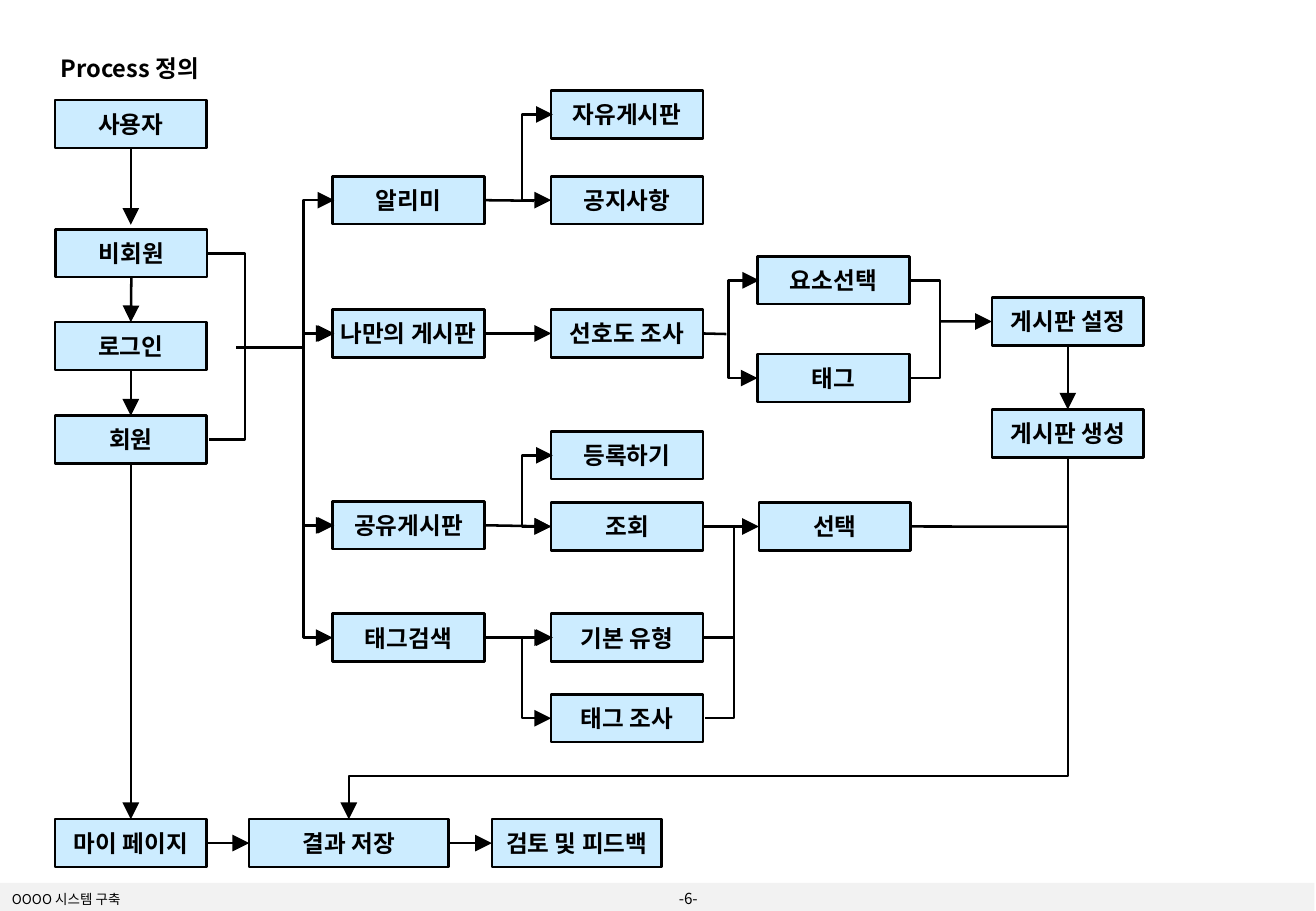
"""Build the process definition flow chart slide."""
from dataclasses import dataclass

from lxml import etree
from pptx import Presentation
from pptx.dml.color import RGBColor
from pptx.enum.shapes import MSO_CONNECTOR, MSO_SHAPE
from pptx.enum.text import MSO_ANCHOR, PP_ALIGN
from pptx.oxml.ns import qn
from pptx.shapes.autoshape import Shape
from pptx.shapes.connector import Connector
from pptx.slide import Slide
from pptx.util import Pt

STRAIGHT = MSO_CONNECTOR.STRAIGHT
ELBOW = MSO_CONNECTOR.ELBOW
RECTANGLE = MSO_SHAPE.RECTANGLE
MIDDLE = MSO_ANCHOR.MIDDLE
TOP_ANCHOR = MSO_ANCHOR.TOP
LEFT = PP_ALIGN.LEFT
CENTER = PP_ALIGN.CENTER

FONT = "Noto Sans CJK KR"
BLACK = RGBColor(0x00, 0x00, 0x00)
PALE_BLUE = RGBColor(0xCC, 0xEC, 0xFF)
PALE_GREY = RGBColor(0xF2, 0xF2, 0xF2)

SLIDE_W, SLIDE_H = 780.48, 540
BOX_W, BOX_H = 90, 28.35
LINE_W = 1.5
USER_X, MENU_X, BOARD_X, DETAIL_X, SETUP_X = 32.6, 197.3, 326.9, 449.3, 588.3
RESULT_Y = 485.6
SITE_TOP, SITE_LEFT, SITE_BOTTOM, SITE_RIGHT = range(4)

Point = tuple[float, float]


@dataclass(frozen=True)
class Box:
    text: str
    left: float
    top: float
    width: float = BOX_W

    @property
    def middle(self) -> float:
        return self.top + BOX_H / 2


@dataclass(frozen=True)
class Link:
    start: str | Point
    end: str | Point
    down: bool = False
    arrow: bool = True


@dataclass(frozen=True)
class Bracket:
    upper: str
    lower: str
    on_left: bool
    reach: float = 18.5


BOXES = [
    Box("사용자", USER_X, 59.3),
    Box("비회원", 32.9, 136),
    Box("로그인", USER_X, 191),
    Box("회원", USER_X, 246.4),
    Box("마이 페이지", USER_X, RESULT_Y),
    Box("결과 저장", 147.8, RESULT_Y, 118.2),
    Box("검토 및 피드백", 291.7, RESULT_Y, 100.8),
    Box("알리미", MENU_X, 104.5),
    Box("나만의 게시판", MENU_X, 183.5),
    Box("공유게시판", MENU_X, 297.2),
    Box("태그검색", MENU_X, 363.8),
    Box("자유게시판", BOARD_X, 53.7),
    Box("공지사항", BOARD_X, 104.5),
    Box("선호도 조사", BOARD_X, 183.5),
    Box("등록하기", BOARD_X, 255.7),
    Box("조회", BOARD_X, 297.9),
    Box("기본 유형", BOARD_X, 363.8),
    Box("태그 조사", BOARD_X, 411.6),
    Box("요소선택", DETAIL_X, 152),
    Box("태그", DETAIL_X, 209.9),
    Box("선택", 450.1, 297.9),
    Box("게시판 설정", SETUP_X, 176.4),
    Box("게시판 생성", SETUP_X, 242.8),
]

LINKS = [
    Link("사용자", (77.6, 133.3), down=True),
    Link("비회원", "로그인", down=True),
    Link("로그인", "회원", down=True),
    Link("회원", "마이 페이지", down=True),
    Link("게시판 설정", "게시판 생성", down=True),
    Link("마이 페이지", "결과 저장"),
    Link("결과 저장", "검토 및 피드백"),
    Link("나만의 게시판", "선호도 조사"),
    Link("공유게시판", "조회"),
    Link("태그검색", "기본 유형"),
    Link("조회", "선택"),
    Link((557.6, 190.5), "게시판 설정"),
    Link((140.2, 206), (179.7, 206), arrow=False),
    Link("알리미", (316.8, 119), arrow=False),
    Link("선호도 조사", (430.8, 198), arrow=False),
    Link("선택", (633.3, 312.2), arrow=False),
]

BRACKETS = [
    Bracket("알리미", "나만의 게시판", True),
    Bracket("나만의 게시판", "공유게시판", True),
    Bracket("공유게시판", "태그검색", True),
    Bracket("자유게시판", "공지사항", True),
    Bracket("등록하기", "조회", True),
    Bracket("기본 유형", "태그 조사", True),
    Bracket("요소선택", "태그", True),
    Bracket("비회원", "회원", False, 22.5),
    Bracket("요소선택", "태그", False),
    Bracket("조회", "기본 유형", False),
    Bracket("기본 유형", "태그 조사", False),
]


def write_text(sp: Shape, text: str, *, size: float = 14, bold: bool = True,
               align: PP_ALIGN = CENTER, anchor: MSO_ANCHOR = MIDDLE,
               wrap: bool = False) -> None:
    """Put one formatted line of text into a shape."""
    tf = sp.text_frame
    tf.word_wrap = wrap
    tf.vertical_anchor = anchor
    p = tf.paragraphs[0]
    p.alignment = align
    r = p.add_run()
    r.text = text
    r.font.size = Pt(size)
    r.font.bold = bold
    r.font.color.rgb = BLACK
    r.font.name = FONT
    etree.SubElement(r.font._element, qn("a:ea"), typeface=FONT)


def add_label(s: Slide, text: str, left: float, top: float, width: float,
              height: float, **style) -> None:
    """Add a text box with left-aligned text."""
    sp = s.shapes.add_textbox(Pt(left), Pt(top), Pt(width), Pt(height))
    write_text(sp, text, align=LEFT, **style)


def add_rect(s: Slide, left: float, top: float, width: float, height: float,
             fill: RGBColor, outlined: bool) -> Shape:
    """Add a flat rectangle."""
    sp = s.shapes.add_shape(RECTANGLE, Pt(left), Pt(top), Pt(width), Pt(height))
    sp.shadow.inherit = False
    sp.fill.solid()
    sp.fill.fore_color.rgb = fill
    if outlined:
        sp.line.color.rgb = BLACK
        sp.line.width = Pt(LINE_W)
    else:
        sp.line.fill.background()
    return sp


def add_line(s: Slide, kind: MSO_CONNECTOR, start: Point, end: Point,
             ends: tuple[str, ...], bend: float | None = None) -> Connector:
    """Add a black connector with arrowheads and an optional bend ratio."""
    c = s.shapes.add_connector(kind, *map(Pt, start + end))
    c.line.color.rgb = BLACK
    c.line.width = Pt(LINE_W)
    for tag in ends:
        etree.SubElement(c.line._ln, qn(tag), type="triangle", w="lg", len="lg")
    etree.SubElement(c.element.spPr, qn("a:effectLst"))
    if bend is not None:
        guides = c.element.spPr.find(qn("a:prstGeom")).find(qn("a:avLst"))
        etree.SubElement(guides, qn("a:gd"), name="adj1",
                         fmla=f"val {round(bend * 100000)}")
    return c


def draw_link(s: Slide, link: Link, shapes: dict[str, Shape]) -> None:
    """Draw a straight link, joined to the boxes it names."""
    start = (0, 0) if isinstance(link.start, str) else link.start
    end = (0, 0) if isinstance(link.end, str) else link.end
    c = add_line(s, STRAIGHT, start, end, ("a:tailEnd",) if link.arrow else ())
    if isinstance(link.start, str):
        c.begin_connect(shapes[link.start], SITE_BOTTOM if link.down else SITE_RIGHT)
    if isinstance(link.end, str):
        c.end_connect(shapes[link.end], SITE_TOP if link.down else SITE_LEFT)


def draw_bracket(s: Slide, bracket: Bracket, boxes: dict[str, Box]) -> None:
    """Draw an elbow that spans the same side of two boxes."""
    upper, lower = boxes[bracket.upper], boxes[bracket.lower]
    if bracket.on_left:
        x1, x2, ends = upper.left + 1, upper.left, ("a:headEnd", "a:tailEnd")
    else:
        x1, ends = upper.left + upper.width, ()
        x2 = x1 + 1
    add_line(s, ELBOW, (x1, upper.middle), (x2, lower.middle), ends, bracket.reach)


def draw_save_route(s: Slide, source: Box, target: Box) -> None:
    """Draw the elbow that runs down, left and down to the saved result."""
    x1, y1 = source.left + source.width / 2, source.top + BOX_H
    x2, y2 = target.left + target.width / 2, target.top
    cx, cy = (x1 + x2) / 2, (y1 + y2) / 2
    dx, dy = (y2 - y1) / 2, (x1 - x2) / 2
    c = add_line(s, ELBOW, (cx - dx, cy - dy), (cx + dx, cy + dy), ("a:tailEnd",), 0.88)
    c.element.spPr.find(qn("a:xfrm")).set("rot", "5400000")


def main() -> None:
    """Build and save the slide."""
    prs = Presentation()
    prs.slide_width = Pt(SLIDE_W)
    prs.slide_height = Pt(SLIDE_H)
    s = prs.slides.add_slide(prs.slide_layouts[6])
    add_rect(s, -0.5, 523.4, 780, 17, PALE_GREY, False)
    add_label(s, "-6-", 395.5, 525.2, 34, 15, size=9, bold=False, wrap=True)
    add_label(s, "OOOO 시스템 구축", 0, 525.6, 351, 15, size=8, bold=False, wrap=True)
    add_label(s, "Process 정의", 28.8, 28.4, 100, 24.5, anchor=TOP_ANCHOR)
    boxes = {box.text: box for box in BOXES}
    shapes = {}
    for box in BOXES:
        sp = add_rect(s, box.left, box.top, box.width, BOX_H, PALE_BLUE, True)
        write_text(sp, box.text)
        shapes[box.text] = sp
    for link in LINKS:
        draw_link(s, link, shapes)
    for bracket in BRACKETS:
        draw_bracket(s, bracket, boxes)
    draw_save_route(s, boxes["게시판 생성"], boxes["결과 저장"])
    prs.save("out.pptx")


if __name__ == "__main__":
    main()
